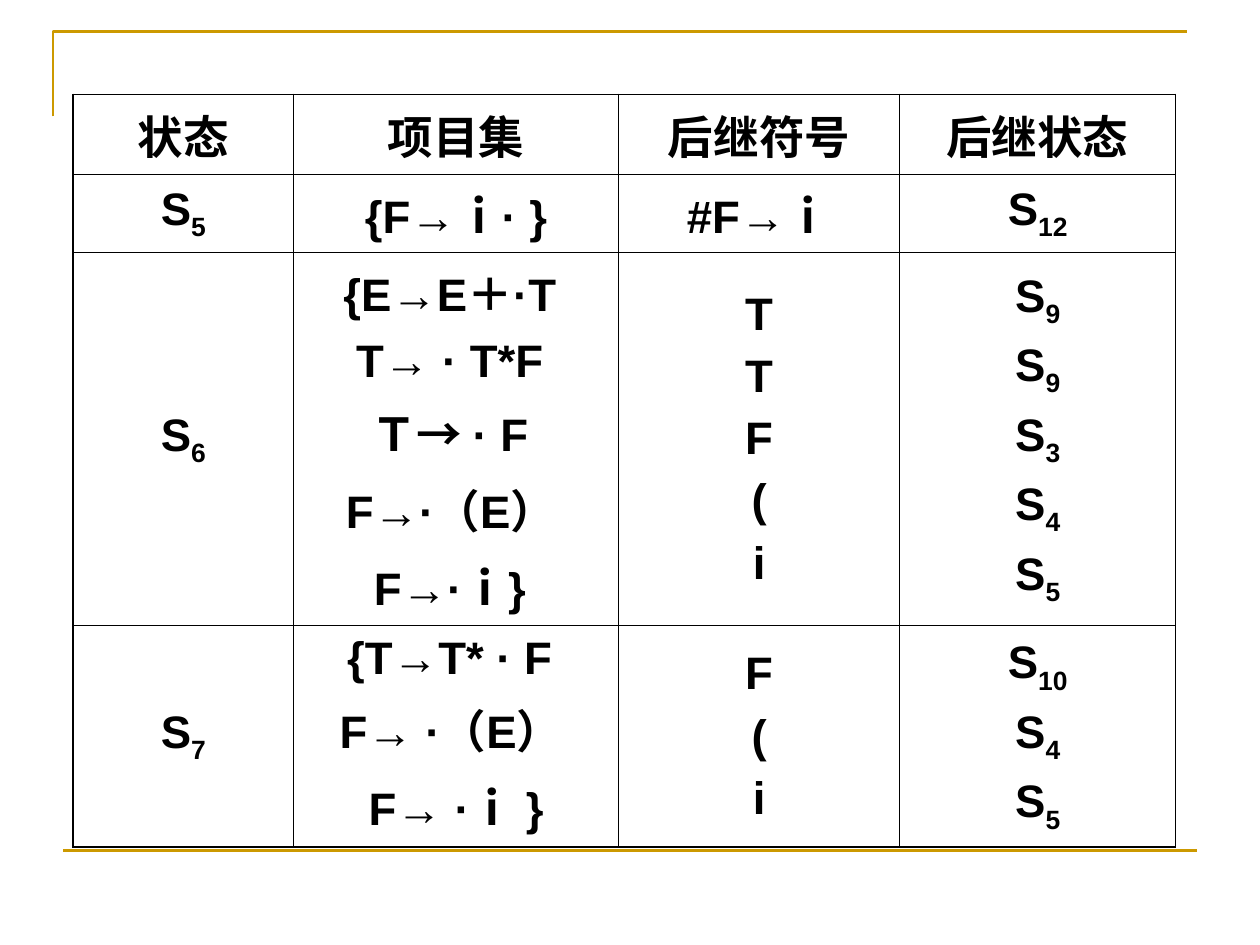
from lxml import etree
from pptx import Presentation
from pptx.dml.color import RGBColor
from pptx.enum.shapes import MSO_CONNECTOR
from pptx.enum.text import MSO_ANCHOR, PP_ALIGN
from pptx.oxml.ns import qn
from pptx.util import Inches, Pt

STRAIGHT = MSO_CONNECTOR.STRAIGHT
MIDDLE = MSO_ANCHOR.MIDDLE
CENTER = PP_ALIGN.CENTER

SLIDE_WIDTH, SLIDE_HEIGHT = Inches(10), Inches(7.5)
GOLD, BLACK = "CC9900", "000000"
FONT, TEXT_SIZE, PARAGRAPH_GAP = "Arial", 26, 6.5
INNER_RULE, OUTER_RULE, FRAME_RULE = 0.45, 1.08, 1.5
COLUMN_WIDTHS = [1.75, 2.58, 2.23, 2.19]
ROW_HEIGHTS = [0.63, 0.62, 2.96, 1.76]
HEADERS = ["状态", "项目集", "后继符号", "后继状态"]
STATES = [
    (5, ["{F→ｉ· }"], ["#F→ｉ"], [12]),
    (6, ["{E→E＋·T ", "T→ · T*F ", "Ｔ→ · F ", "F→·（E） ", "F→·ｉ} "],
     ["T", "T", "F", "(", "i"], [9, 9, 3, 4, 5]),
    (7, ["{T→T* · F ", "F→ ·（E） ", "F→ ·ｉ }"], ["F", "(", "i"], [10, 4, 5]),
]


def color(hex_value):
    """Turn a hex string into a colour."""
    return RGBColor.from_string(hex_value)


def across(share):
    """Give a share of the slide width."""
    return int(SLIDE_WIDTH * share)


def down(share):
    """Give a share of the slide height."""
    return int(SLIDE_HEIGHT * share)


def style_rule(rule):
    """Draw a frame rule in gold."""
    rule.line.color.rgb = color(GOLD)
    rule.line.width = Pt(FRAME_RULE)


def add_corner(slide):
    """Add the open corner at the top left of the frame."""
    left, top = across(0.042), down(0.033)
    builder = slide.shapes.build_freeform(left, down(0.123))
    builder.add_line_segments([(left, top), (across(0.942), top)], close=False)
    corner = builder.convert_to_shape()
    corner.fill.background()
    corner.shadow.inherit = False
    style_rule(corner)


def add_bottom_rule(slide):
    """Add the horizontal rule that closes the frame."""
    rule = slide.shapes.add_connector(
        STRAIGHT, across(0.05), down(0.9), across(0.95), down(0.9))
    etree.SubElement(rule._element.spPr, qn("a:effectLst"))
    style_rule(rule)


def plain(lines):
    """Make one single-run paragraph per line."""
    return [[(line, False)] for line in lines]


def state_names(numbers):
    """Make one paragraph per state, its number as a subscript."""
    return [[("S", False), (str(number), True)] for number in numbers]


def write_cell(cell, paragraphs):
    """Write centred paragraphs run by run."""
    cell.vertical_anchor = MIDDLE
    cell.fill.background()
    for index, runs in enumerate(paragraphs):
        frame = cell.text_frame
        paragraph = frame.add_paragraph() if index else frame.paragraphs[0]
        paragraph.alignment = CENTER
        paragraph.space_before = Pt(PARAGRAPH_GAP if index else 0)
        for text, is_subscript in runs:
            run = paragraph.add_run()
            run.text = text
            run.font.name = FONT
            run.font.size = Pt(TEXT_SIZE)
            run.font.bold = True
            run.font.color.rgb = color(BLACK)
            if is_subscript:
                run._r.get_or_add_rPr().set("baseline", "-25000")


def rule_cell(cell, outer_sides):
    """Border a cell, heavier on the outer sides of the table."""
    properties = cell._tc.get_or_add_tcPr()
    for index, side in enumerate("LRTB"):
        width = OUTER_RULE if side in outer_sides else INNER_RULE
        border = etree.Element(qn(f"a:ln{side}"), w=str(Pt(width)))
        fill = etree.SubElement(border, qn("a:solidFill"))
        etree.SubElement(fill, qn("a:srgbClr"), val=BLACK)
        properties.insert(index, border)


def add_state_table(slide):
    """Add the table of states, item sets and successors."""
    content = [[plain([header]) for header in HEADERS]]
    for state, items, symbols, successors in STATES:
        content.append([state_names([state]), plain(items),
                        plain(symbols), state_names(successors)])
    table = slide.shapes.add_table(
        len(ROW_HEIGHTS), len(COLUMN_WIDTHS), across(0.058), down(0.1),
        Inches(sum(COLUMN_WIDTHS)), Inches(sum(ROW_HEIGHTS))).table
    table.first_row = table.horz_banding = False
    for column, width in zip(table.columns, COLUMN_WIDTHS):
        column.width = Inches(width)
    for row, height in zip(table.rows, ROW_HEIGHTS):
        row.height = Inches(height)
    last_row, last_column = len(ROW_HEIGHTS) - 1, len(COLUMN_WIDTHS) - 1
    for r, row_content in enumerate(content):
        for c, paragraphs in enumerate(row_content):
            edges = {"L": c == 0, "R": c == last_column,
                     "T": r == 0, "B": r == last_row}
            cell = table.cell(r, c)
            write_cell(cell, paragraphs)
            rule_cell(cell, [side for side, outer in edges.items() if outer])


def main():
    """Build the slide and save it."""
    deck = Presentation()
    deck.slide_width, deck.slide_height = SLIDE_WIDTH, SLIDE_HEIGHT
    slide = deck.slides.add_slide(deck.slide_layouts[6])
    add_corner(slide)
    add_bottom_rule(slide)
    add_state_table(slide)
    deck.save("out.pptx")


if __name__ == "__main__":
    main()
